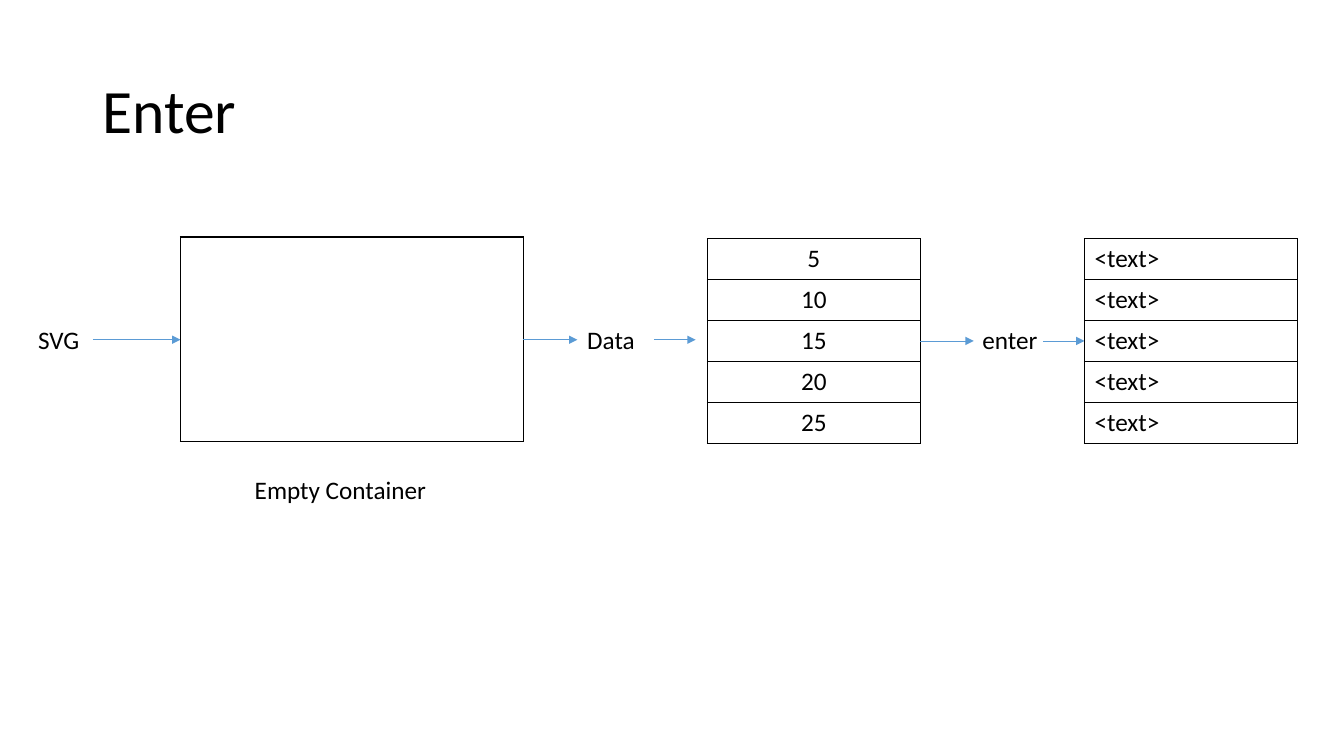
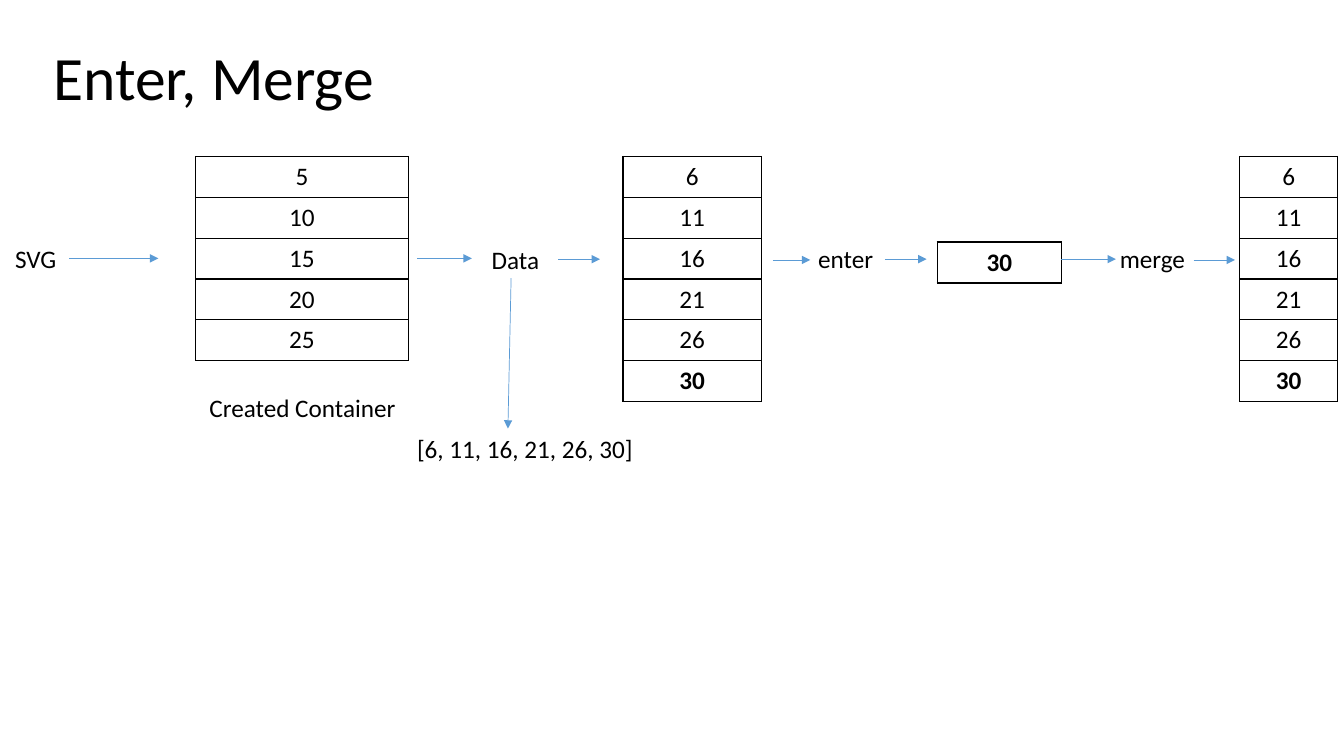
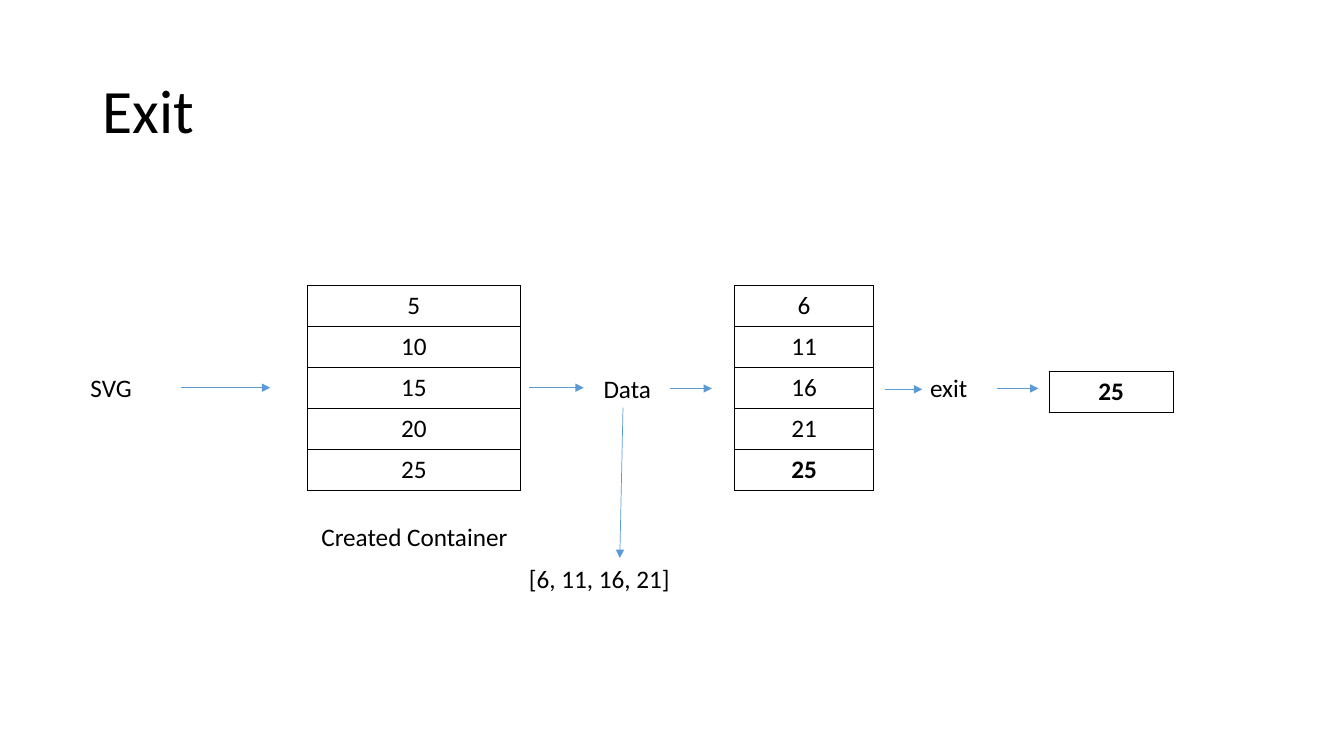
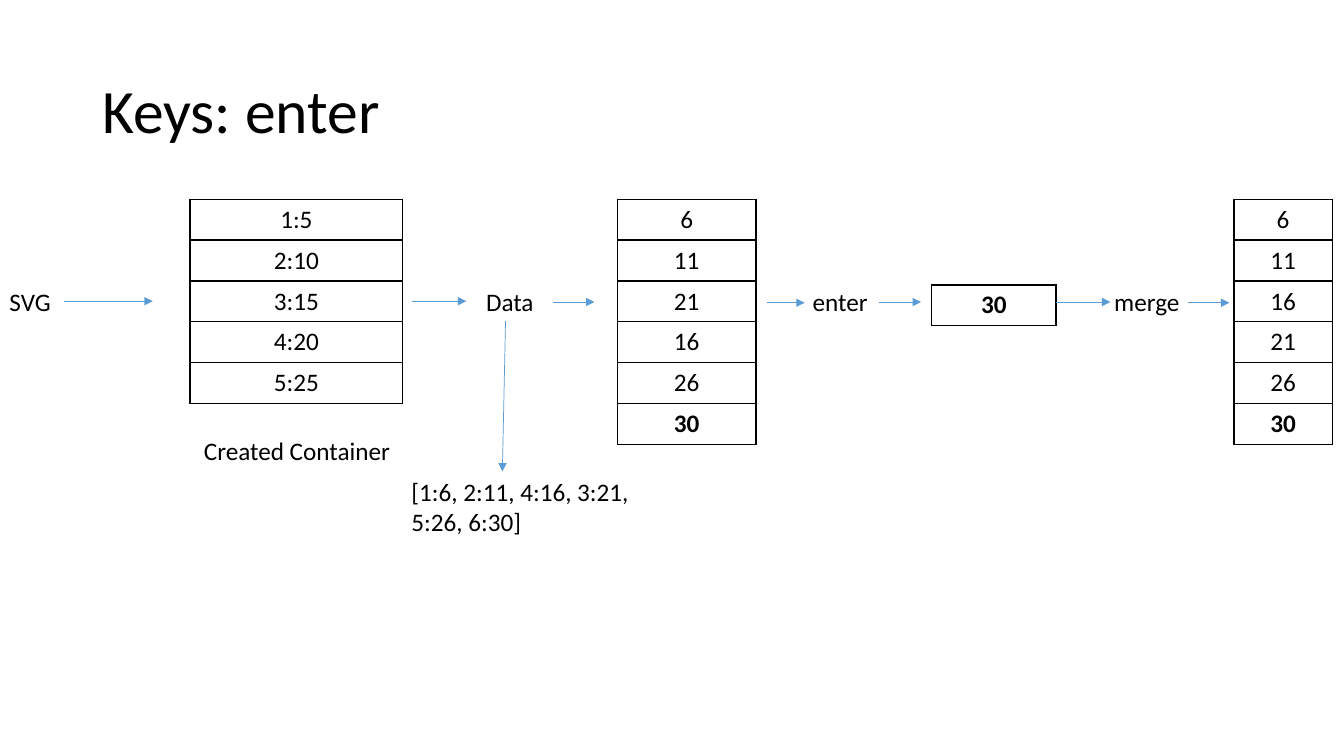
from dataclasses import dataclass

from lxml import etree
from pptx import Presentation
from pptx import util as u
from pptx.dml import color
from pptx.enum import shapes, text
from pptx.oxml import ns

FONT = "Calibri"
BLACK = "000000"
ARROW_BLUE = "5B9BD5"
ROW_HEIGHT = 1.03
LABEL_HEIGHT = 1.03
WIDE = 5.36
SIDES = ("L", "R", "T", "B")


@dataclass(frozen=True)
class Label:
    words: str
    left: float
    top: float
    width: float
    height: float = LABEL_HEIGHT


@dataclass(frozen=True)
class Arrow:
    start_x: float
    start_y: float
    end_x: float
    end_y: float


@dataclass(frozen=True)
class Column:
    values: tuple
    left: float
    top: float
    width: float
    bold_last: bool = False
    centred: bool = True
    ruled: bool = True


@dataclass(frozen=True)
class Update:
    title: str
    title_left: float
    title_top: float
    left: float
    top: float
    svg_left: float
    old: tuple
    data: tuple
    listing: str
    listing_height: float
    selection: str
    selected: str
    merged: tuple = ()


def rgb(value: str) -> color.RGBColor:
    return color.RGBColor.from_string(value)


def add_child(parent, tag: str, **attributes):
    return etree.SubElement(parent, ns.qn(tag), **attributes)


def format_runs(paragraph, size: float, bold: bool = False) -> None:
    for run in paragraph.runs:
        run.font.name = FONT
        run.font.size = u.Pt(size)
        run.font.bold = bold
        run.font.color.rgb = rgb(BLACK)


def add_title(slide, words: str, left: float = 2.33, top: float = 1.01) -> None:
    shape = slide.shapes.add_textbox(u.Cm(left), u.Cm(top), u.Cm(29.21), u.Cm(3.68))
    frame = shape.text_frame
    frame.word_wrap = True
    frame.vertical_anchor = text.MSO_ANCHOR.MIDDLE
    frame.text = words
    frame.paragraphs[0].line_spacing = 0.9
    format_runs(frame.paragraphs[0], 44)


def draw_label(slide, label: Label, left: float, top: float) -> None:
    shape = slide.shapes.add_textbox(
        u.Cm(left + label.left), u.Cm(top + label.top), u.Cm(label.width), u.Cm(label.height)
    )
    frame = shape.text_frame
    frame.word_wrap = True
    frame.auto_size = text.MSO_AUTO_SIZE.SHAPE_TO_FIT_TEXT
    frame.text = label.words
    format_runs(frame.paragraphs[0], 18)


def draw_arrow(slide, arrow: Arrow, left: float, top: float) -> None:
    connector = slide.shapes.add_connector(
        shapes.MSO_CONNECTOR.STRAIGHT,
        u.Cm(left + arrow.start_x),
        u.Cm(top + arrow.start_y),
        u.Cm(left + arrow.end_x),
        u.Cm(top + arrow.end_y),
    )
    connector.line.color.rgb = rgb(ARROW_BLUE)
    connector.line.width = u.Pt(0.5)
    properties = connector._element.spPr
    add_child(properties.find(ns.qn("a:ln")), "a:tailEnd", type="triangle")
    add_child(properties, "a:effectLst")


def set_borders(cell, drawn: set) -> None:
    properties = cell._tc.get_or_add_tcPr()
    for side in SIDES:
        line = add_child(properties, f"a:ln{side}", w=str(u.Pt(1)))
        if side in drawn:
            add_child(add_child(line, "a:solidFill"), "a:srgbClr", val=BLACK)
        else:
            add_child(line, "a:noFill")


def draw_column(slide, column: Column, left: float, top: float) -> None:
    count = len(column.values)
    frame = slide.shapes.add_table(
        count,
        1,
        u.Cm(left + column.left),
        u.Cm(top + column.top),
        u.Cm(column.width),
        u.Cm(ROW_HEIGHT * count),
    )
    table = frame.table
    table.first_row = table.horz_banding = False
    for index, value in enumerate(column.values):
        last = index == count - 1
        table.rows[index].height = u.Cm(ROW_HEIGHT)
        cell = table.cell(index, 0)
        drawn = {"L", "R"}
        if column.ruled or index == 0:
            drawn.add("T")
        if column.ruled or last:
            drawn.add("B")
        set_borders(cell, drawn)
        cell.fill.background()
        cell.text_frame.text = value
        paragraph = cell.text_frame.paragraphs[0]
        if column.centred:
            paragraph.alignment = text.PP_ALIGN.CENTER
        format_runs(paragraph, 18, column.bold_last and last)


DRAWERS = {Label: draw_label, Arrow: draw_arrow, Column: draw_column}


def draw_all(slide, items: list, left: float = 0, top: float = 0) -> None:
    for item in items:
        DRAWERS[type(item)](slide, item, left, top)


def draw_update(slide, update: Update) -> None:
    add_title(slide, update.title, update.title_left, update.title_top)
    items = [
        Label("SVG", update.svg_left, 2.06, 1.63),
        Arrow(-3.18, 2.57, -0.94, 2.57),
        Column(update.old, 0, 0, WIDE),
        Label("Created Container", 0.1, 5.82, 5.61),
        Arrow(5.59, 2.57, 6.96, 2.57),
        Label("Data", 7.21, 2.08, 1.93),
        Arrow(7.95, 3.07, 7.87, 6.86),
        Label(update.listing, 5.33, 6.86, 6.73, update.listing_height),
        Arrow(9.14, 2.59, 10.19, 2.59),
        Column(update.data, 10.77, 0, 3.49, bold_last=True),
        Arrow(14.55, 2.61, 15.49, 2.61),
        Label(update.selection, 15.44, 2.06, 1.93),
        Arrow(17.37, 2.59, 18.42, 2.59),
        Column((update.selected,), 18.69, 2.16, 3.13, bold_last=True),
    ]
    if update.merged:
        items += [
            Arrow(21.82, 2.59, 23.19, 2.59),
            Label("merge", 23.04, 2.06, 2.34),
            Arrow(25.15, 2.61, 26.19, 2.61),
            Column(update.merged, 26.31, 0, 2.47, bold_last=True),
        ]
    draw_all(slide, items, update.left, update.top)


OLD = ("5", "10", "15", "20", "25")
MERGED = ("6", "11", "16", "21", "26", "30")
ENTER = [
    Label("SVG", 0.71, 8.05, 1.63),
    Arrow(2.34, 8.56, 4.55, 8.56),
    Column(("",) * 5, 4.55, 5.97, 8.64, ruled=False),
    Label("Empty Container", 6.17, 11.84, 4.95),
    Arrow(13.19, 8.56, 14.55, 8.56),
    Label("Data", 14.55, 8.05, 1.93),
    Arrow(16.48, 8.56, 17.53, 8.56),
    Column(OLD, 17.83, 6.02, WIDE),
    Arrow(23.19, 8.59, 24.54, 8.59),
    Label("enter", 24.51, 8.05, 1.93),
    Arrow(26.29, 8.59, 27.33, 8.59),
    Column(("<text>",) * 5, 27.33, 6.02, WIDE, centred=False),
]
UPDATES = [
    Update(
        "Enter, Merge", 1.09, 0.2, 4.93, 3.94, -4.8,
        OLD, MERGED, "[6, 11, 16, 21, 26, 30]", LABEL_HEIGHT, "enter", "30", MERGED,
    ),
    Update(
        "Exit", 2.33, 1.01, 7.75, 7.2, -5.72,
        OLD, ("6", "11", "16", "21", "25"), "[6, 11, 16, 21]", LABEL_HEIGHT, "exit", "25",
    ),
    Update(
        "Keys: enter", 2.33, 1.01, 4.79, 5.02, -4.8,
        tuple(f"{key}:{value}" for key, value in enumerate(OLD, 1)),
        ("6", "11", "21", "16", "26", "30"),
        "[1:6, 2:11, 4:16, 3:21, 5:26, 6:30]", 1.8, "enter", "30", MERGED,
    ),
]


def main() -> None:
    presentation = Presentation()
    presentation.slide_width = u.Cm(33.87)
    presentation.slide_height = u.Cm(19.05)
    blank = presentation.slide_layouts[6]
    slide = presentation.slides.add_slide(blank)
    add_title(slide, "Enter")
    draw_all(slide, ENTER)
    for update in UPDATES:
        draw_update(presentation.slides.add_slide(blank), update)
    presentation.save("out.pptx")


if __name__ == "__main__":
    main()
